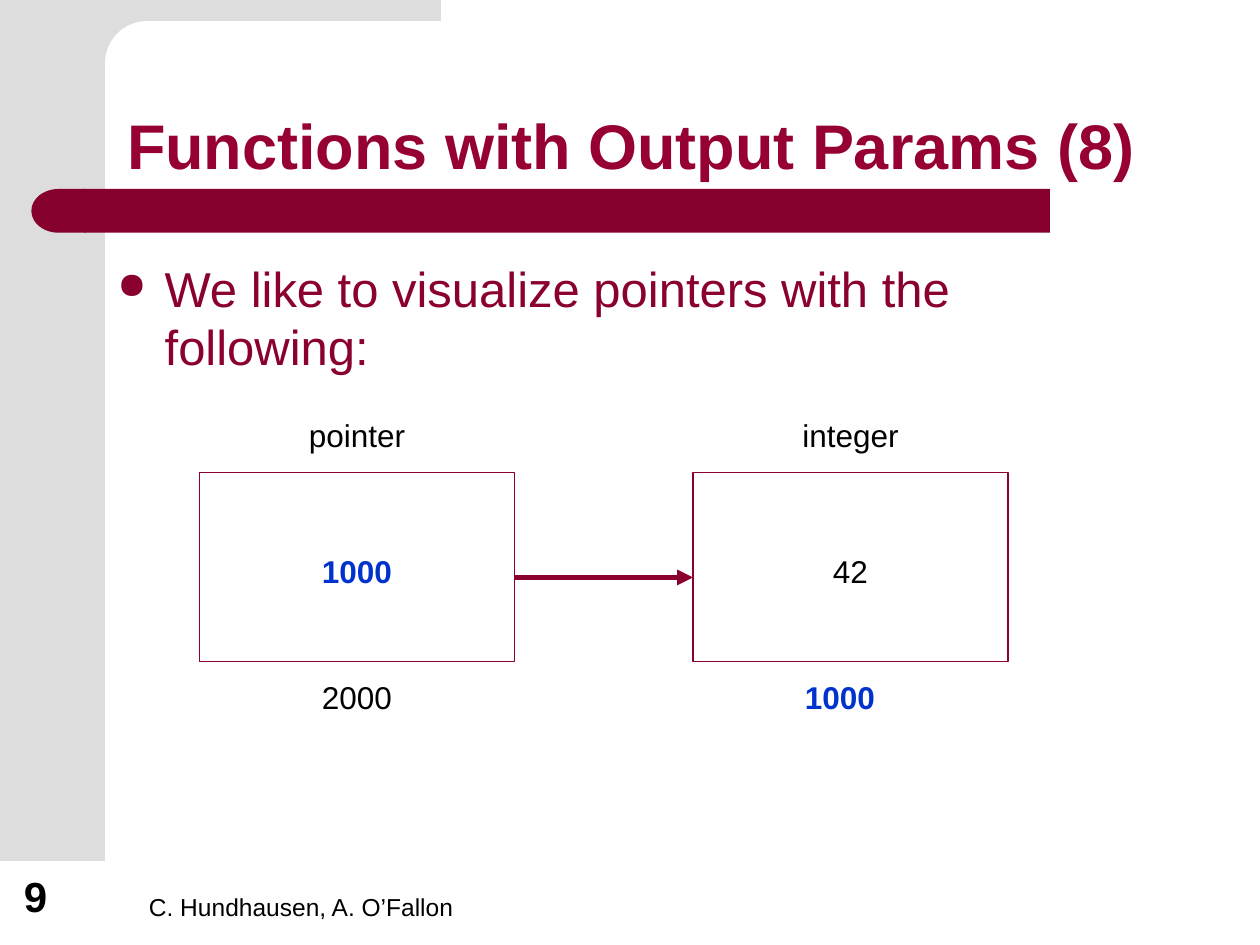
from math import cos, pi, sin

from lxml.etree import SubElement
from pptx import Presentation
from pptx.dml.color import RGBColor
from pptx.enum.shapes import MSO_CONNECTOR, MSO_SHAPE
from pptx.enum.text import MSO_ANCHOR, PP_ALIGN
from pptx.oxml.ns import qn
from pptx.util import Pt

GREY, BAND, WINE = "DDDDDD", "86002D", "8A002E"
TITLE, BLACK, BLUE = "960032", "000000", "0033CC"


def rgb(value):
    return RGBColor.from_string(value)


def paint(s, fill=None, line=None):
    s.shadow.inherit = False
    if fill:
        s.fill.solid()
        s.fill.fore_color.rgb = rgb(fill)
    else:
        s.fill.background()
    if line:
        s.line.color.rgb = rgb(line)
        s.line.width = Pt(0.75)
    else:
        s.line.fill.background()


def add_box(slide, kind, box, fill=None, line=None):
    s = slide.shapes.add_shape(kind, *map(Pt, box))
    paint(s, fill, line)
    return s


def add_text(slide, box, text, size, color=BLACK, bold=False,
             align=PP_ALIGN.LEFT, anchor=MSO_ANCHOR.TOP):
    tf = slide.shapes.add_textbox(*map(Pt, box)).text_frame
    tf.word_wrap = True
    tf.vertical_anchor = anchor
    tf.text = text
    p = tf.paragraphs[0]
    p.alignment = align
    font = p.runs[0].font
    font.name, font.size, font.bold = "Arial", Pt(size), bold
    font.color.rgb = rgb(color)
    return p


def add_frame(slide, box):
    """Grey side panel whose top strip meets it in a rounded inner corner."""
    left, top, width, height = box
    panel, strip, radius = 60, 60, 24
    inner, under = left + panel, top + strip
    add_box(slide, MSO_SHAPE.RECTANGLE, (left, top, panel, height), GREY)

    steps = 16
    angles = [pi / 2 * i / steps for i in range(steps + 1)]
    arc = [(inner + radius * (1 - sin(a)), under + radius * (1 - cos(a)))
           for a in angles]
    points = [(left + width, under), *arc, (inner, under + 32),
              (inner - radius, under + 32), (inner - radius, top)]
    builder = slide.shapes.build_freeform(Pt(left + width), Pt(top))
    builder.add_line_segments([(Pt(x), Pt(y)) for x, y in points], close=True)
    paint(builder.convert_to_shape(), GREY)


def add_band(slide, box):
    """Bar with a rounded left end."""
    left, top, width, height = box
    add_box(slide, MSO_SHAPE.RECTANGLE,
            (left + 30, top, width - 30, height), BAND)
    cap = add_box(slide, MSO_SHAPE.FLOWCHART_DELAY,
                  (left, top, 31, height), BAND)
    cap.element.spPr.get_or_add_xfrm().set("flipH", "1")


def add_body(slide, box, text):
    p = add_text(slide, box, text, 28, WINE)
    p.space_before = Pt(7)
    pPr = p._p.get_or_add_pPr()
    pPr.set("marL", str(Pt(27)))
    pPr.set("indent", str(-Pt(27)))
    color = SubElement(pPr, qn("a:buClr"))
    SubElement(color, qn("a:srgbClr"), val=WINE)
    SubElement(pPr, qn("a:buSzPct"), val="75000")
    SubElement(pPr, qn("a:buChar"), char="●")


def add_cell(slide, box, name, value, address, address_shift=0):
    """Memory cell: name above, value inside, address below."""
    left, top, width, height = box
    add_box(slide, MSO_SHAPE.RECTANGLE, box, line=WINE)
    labels = [(name, -36, 0), (value, 42, 0),
              (address, height + 6, address_shift)]
    for text, dy, dx in labels:
        is_link = text == "1000"
        add_text(slide, (left + 36 + dx, top + dy, width - 72, 29), text, 18,
                 BLUE if is_link else BLACK, is_link, PP_ALIGN.CENTER)


def add_arrow(slide, x1, x2, y):
    c = slide.shapes.add_connector(
        MSO_CONNECTOR.STRAIGHT, Pt(x1), Pt(y), Pt(x2), Pt(y))
    c.line.color.rgb = rgb(WINE)
    c.line.width = Pt(3)
    SubElement(c.line._get_or_add_ln(), qn("a:tailEnd"), type="triangle")
    SubElement(c.element.spPr, qn("a:effectLst"))


def add_diagram(slide, box):
    left, top, width, height = box
    cell = 180
    right = left + width - cell
    add_cell(slide, (left, top, cell, height), "pointer", "1000", "2000")
    add_cell(slide, (right, top, cell, height), "integer", "42", "1000", -6)
    add_arrow(slide, left + cell, right, top + 60)


def add_footer(slide, box):
    left, top, width, height = box
    add_text(slide, (left + 71.5, top, width - 71.5, height),
             "C. Hundhausen, A. O’Fallon", 14, anchor=MSO_ANCHOR.BOTTOM)
    add_text(slide, (left, top, 46, height), "9", 24, bold=True,
             anchor=MSO_ANCHOR.BOTTOM)


def main():
    prs = Presentation()
    prs.slide_width, prs.slide_height = Pt(720), Pt(540)
    slide = prs.slides.add_slide(prs.slide_layouts[6])

    # Background decoration
    add_frame(slide, (0, -48, 252, 540))
    add_band(slide, (18, 108, 582, 25))

    # Footer, title and body
    add_footer(slide, (6.5, 492, 341.5, 38))
    title = add_text(slide, (65.5, 29.5, 613, 78.5),
                     "Functions with Output Params (8)", 36, TITLE, True,
                     anchor=MSO_ANCHOR.BOTTOM)
    title.line_spacing = 0.9
    add_body(slide, (60, 144, 605.5, 293),
             "We like to visualize pointers with the following:")

    # Pointer diagram
    add_diagram(slide, (114, 270, 462, 108))

    prs.save("out.pptx")


if __name__ == "__main__":
    main()
